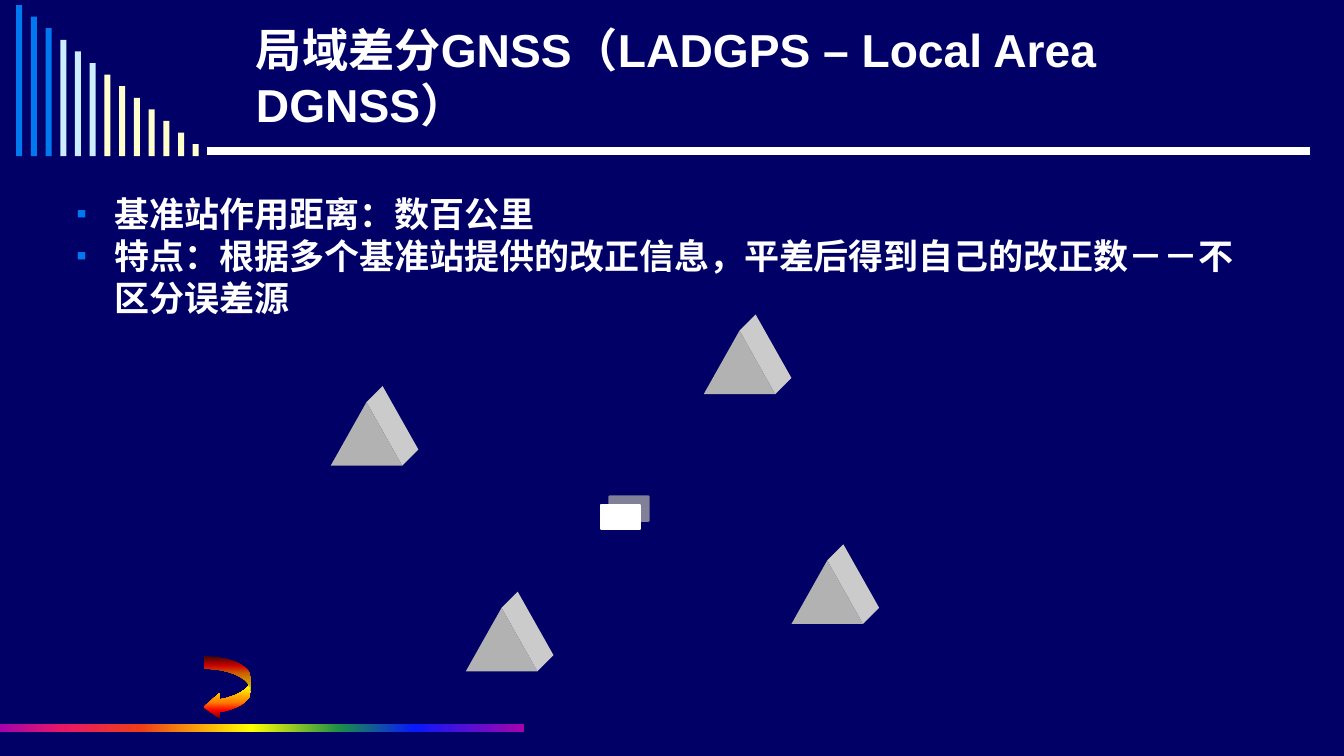
import pptx
import pptx.dml.color
import pptx.enum.shapes
import pptx.enum.text
import pptx.oxml
import pptx.oxml.ns
import pptx.util
from lxml import etree

Inches = pptx.util.Inches
RGBColor = pptx.dml.color.RGBColor
SHAPE = pptx.enum.shapes.MSO_SHAPE
ANCHOR = pptx.enum.text.MSO_ANCHOR
qn = pptx.oxml.ns.qn

NAVY = RGBColor(0x00, 0x00, 0x66)
WHITE = RGBColor(0xFF, 0xFF, 0xFF)
BLUE = RGBColor(0x00, 0x78, 0xF0)
PALE_BLUE = RGBColor(0xCC, 0xEC, 0xFF)
CREAM = RGBColor(0xFF, 0xFF, 0xCC)
FRONT_GREY = RGBColor(0xB2, 0xB2, 0xB2)
SIDE_GREY = RGBColor(0xCB, 0xCB, 0xCB)
RAINBOW = [(0, RGBColor(0xA6, 0x03, 0xAB)), (12, RGBColor(0xE8, 0x17, 0x66)),
           (27, RGBColor(0xEE, 0x3F, 0x17)), (48, RGBColor(0xFF, 0xFF, 0x00)),
           (65, RGBColor(0x1A, 0x8D, 0x48)), (79, RGBColor(0x08, 0x19, 0xFB)),
           (100, RGBColor(0xA6, 0x03, 0xAB))]
MAROON = RGBColor(0x4D, 0x08, 0x08)
RED = RGBColor(0xFF, 0x03, 0x00)
ORANGE = RGBColor(0xFF, 0x7A, 0x00)
YELLOW = RGBColor(0xFF, 0xF2, 0x00)
FIRE = [(0, MAROON), (15, RED), (27, ORANGE), (50, YELLOW),
        (73, ORANGE), (85, RED), (100, MAROON)]

deck = pptx.Presentation()
deck.slide_width, deck.slide_height = Inches(13.33), Inches(7.5)
page = deck.slides.add_slide(deck.slide_layouts[6])
page.background.fill.solid()
page.background.fill.fore_color.rgb = NAVY


def paint(shape, fill):
    """Fill with one colour, or with (stops, angle in degrees)."""
    shape.shadow.inherit = False
    shape.line.fill.background()
    if isinstance(fill, RGBColor):
        shape.fill.solid()
        shape.fill.fore_color.rgb = fill
        return
    stops, angle = fill
    shape.fill.gradient()
    gradient = shape._element.spPr.find(qn("a:gradFill"))
    stop_list = gradient.find(qn("a:gsLst"))
    for old_stop in list(stop_list):
        stop_list.remove(old_stop)
    for position, colour in stops:
        stop = etree.SubElement(stop_list, qn("a:gs"), pos=str(position * 1000))
        etree.SubElement(stop, qn("a:srgbClr"), val=str(colour))
    gradient.find(qn("a:lin")).set("ang", str(angle * 60000))


def add_shape(kind, left, top, width, height, fill):
    shape = page.shapes.add_shape(kind, Inches(left), Inches(top),
                                  Inches(width), Inches(height))
    paint(shape, fill)
    return shape


# Rule under the title
rule = page.shapes.add_connector(pptx.enum.shapes.MSO_CONNECTOR.STRAIGHT,
                                 Inches(2.05), Inches(1.5), Inches(12.99), Inches(1.5))
rule.line.color.rgb = WHITE
rule.line.width = pptx.util.Pt(6)
etree.SubElement(rule._element.spPr, qn("a:effectLst"))

# Descending bars in the corner
for index, colour in enumerate([BLUE] * 3 + [PALE_BLUE] * 3 + [CREAM] * 7):
    top = 0.05 + 0.115 * index
    add_shape(SHAPE.RECTANGLE, 0.16 + 0.146 * index, top, 0.06, 1.55 - top, colour)

# Rainbow strip at the bottom
add_shape(SHAPE.RECTANGLE, 0, 7.18, 5.2, 0.08, (RAINBOW, 0))

# Title and bulleted text
texts = [
    ((2.44, 0.13, 10.22, 1.26), ANCHOR.MIDDLE, 33, False,
     ["局域差分GNSS（LADGPS – Local Area DGNSS）"]),
    ((0.66, 1.86, 12.01, 4.81), ANCHOR.TOP, 25, True,
     ["基准站作用距离：数百公里",
      "特点：根据多个基准站提供的改正信息，平差后得到自己的改正数－－不区分误差源"]),
]
for place, anchor, size, bulleted, lines in texts:
    box = page.shapes.add_textbox(*map(Inches, place))
    frame = box.text_frame
    frame.word_wrap = True
    frame.vertical_anchor = anchor
    for index, line in enumerate(lines):
        para = frame.add_paragraph() if index else frame.paragraphs[0]
        if bulleted:
            settings = para._p.get_or_add_pPr()
            settings.set("marL", str(Inches(0.38)))
            settings.set("indent", str(-Inches(0.38)))
            bullet_colour = etree.SubElement(settings, qn("a:buClr"))
            etree.SubElement(bullet_colour, qn("a:srgbClr"), val=str(BLUE))
            etree.SubElement(settings, qn("a:buSzPct"), val="85000")
            etree.SubElement(settings, qn("a:buFont"), typeface="Arial")
            etree.SubElement(settings, qn("a:buChar"), char="▪")
        span = para.add_run()
        span.text = line
        text_format = {"name": "Arial", "size": pptx.util.Pt(size), "bold": True}
        for name, value in text_format.items():
            setattr(span.font, name, value)
        span.font.color.rgb = WHITE

# Base stations: a front triangle and its receding side
STATION_WIDTH, STATION_HEIGHT, DEPTH = 0.71, 0.63, 0.16
for left, top in [(4.62, 6.03), (3.28, 3.99), (6.98, 3.28), (7.85, 5.56)]:
    apex = left + STATION_WIDTH / 2
    right, bottom = left + STATION_WIDTH, top + STATION_HEIGHT
    outline = page.shapes.build_freeform(Inches(apex), Inches(top))
    outline.add_line_segments([(Inches(x), Inches(y)) for x, y in [
        (apex + DEPTH, top - DEPTH), (right + DEPTH, bottom - DEPTH), (right, bottom)]])
    paint(outline.convert_to_shape(), SIDE_GREY)
    add_shape(SHAPE.ISOSCELES_TRIANGLE, left, top,
              STATION_WIDTH, STATION_HEIGHT, FRONT_GREY)

# User receiver with an offset shadow
receiver = add_shape(SHAPE.RECTANGLE, 5.96, 5.01, 0.39, 0.24, WHITE)
receiver.line.color.rgb = WHITE
receiver.line.width = pptx.util.Pt(1.5)
effects = receiver._element.spPr.find(qn("a:effectLst"))
shadow = etree.SubElement(effects, qn("a:outerShdw"), dist=str(pptx.util.Pt(8.5)),
                          dir=str(315 * 60000), algn="ctr", rotWithShape="0")
shadow_colour = etree.SubElement(shadow, qn("a:srgbClr"), val=str(CREAM))
etree.SubElement(shadow_colour, qn("a:alpha"), val="50000")

# Return arrow
arrow = add_shape(SHAPE.CURVED_LEFT_ARROW, 2.02, 6.51, 0.47, 0.63, (FIRE, 90))
for index, value in enumerate([0.266, 0.532, 0.333]):
    arrow.adjustments[index] = value

deck.save("out.pptx")
